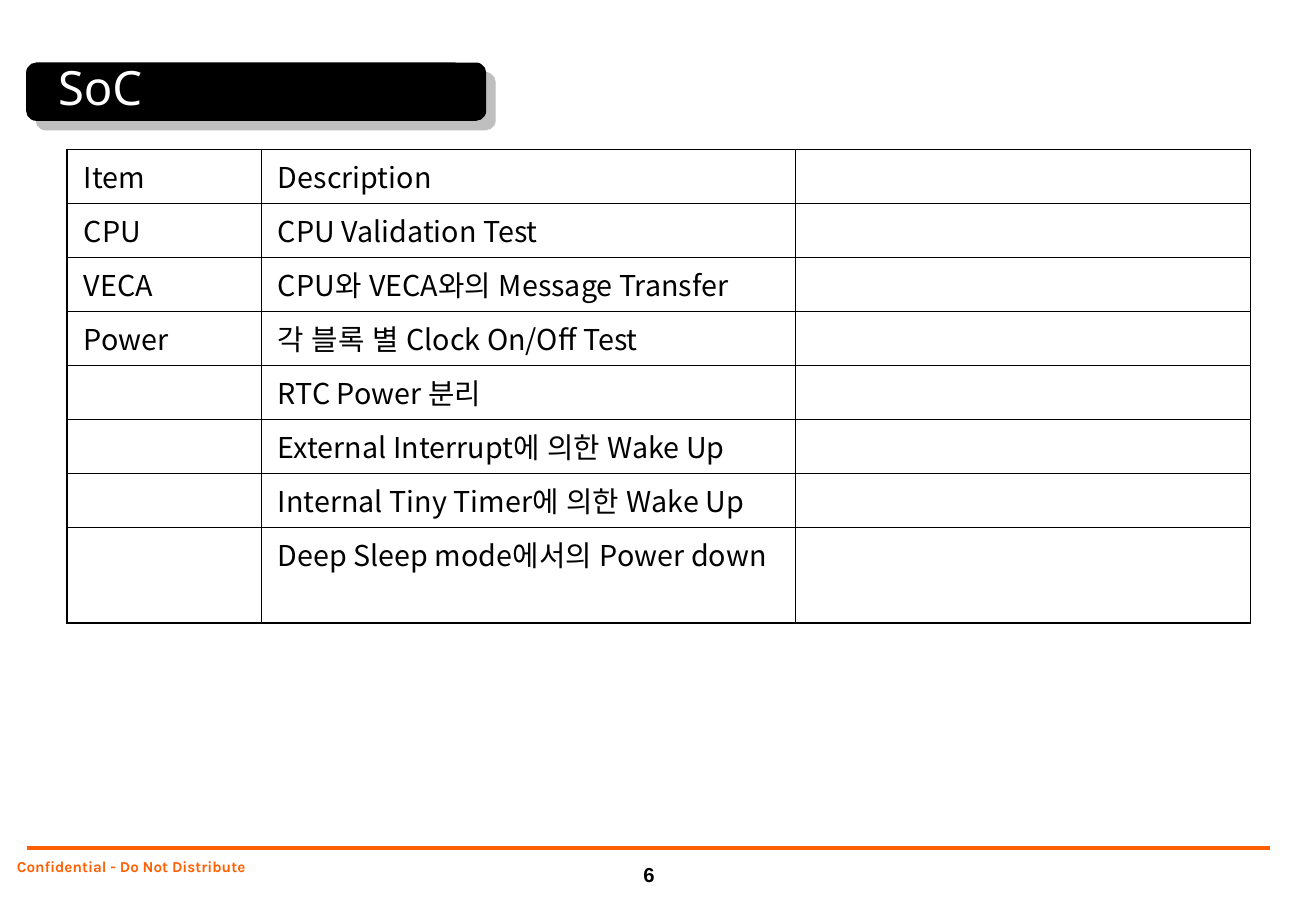
import dataclasses

import pptx
import pptx.dml.color
import pptx.enum.shapes
import pptx.enum.text
import pptx.oxml
import pptx.oxml.ns
import pptx.util
from lxml import etree

Inches = pptx.util.Inches
Pt = pptx.util.Pt
qn = pptx.oxml.ns.qn
PP = pptx.enum.text.PP_ALIGN
ANCHOR = pptx.enum.text.MSO_ANCHOR


@dataclasses.dataclass(frozen=True)
class Theme:
    ink: str = "000000"
    paper: str = "FFFFFF"
    accent: str = "FF5F00"
    shade: str = "808080"
    title_font: str = "Noto Sans"
    body_font: str = "Noto Sans CJK KR"
    footer_font: str = "Karla"
    number_font: str = "Arial"
    title_size: int = 28
    body_size: int = 17
    number_size: int = 12
    footer_size: int = 9
    outer_border: float = 1.08
    inner_border: float = 0.45


def rgb(color):
    return pptx.dml.color.RGBColor.from_string(color)


def set_text(tf, text, *, font, size, color, east_font=None, bold=False,
             align=PP.LEFT, spacing=None):
    p = tf.paragraphs[0]
    p.alignment = align
    if spacing:
        p.line_spacing = spacing
    r = p.add_run()
    r.text = text
    r.font.name = font
    r.font.size = Pt(size)
    r.font.bold = bold
    r.font.color.rgb = rgb(color)
    etree.SubElement(r.font._element, qn("a:ea"), typeface=east_font or font)


def set_margins(target, left, top, right, bottom):
    target.margin_left, target.margin_top = Inches(left), Inches(top)
    target.margin_right, target.margin_bottom = Inches(right), Inches(bottom)


def add_border(cell, tag, width, color):
    ln = etree.SubElement(cell._tc.get_or_add_tcPr(), qn(tag), w=str(Pt(width)))
    fill = etree.SubElement(ln, qn("a:solidFill"))
    etree.SubElement(fill, qn("a:srgbClr"), val=color)


class Deck:
    """Draws styled elements on the current slide."""

    def __init__(self, theme, width, height):
        self.theme = theme
        self.prs = pptx.Presentation()
        self.prs.slide_width, self.prs.slide_height = Inches(width), Inches(height)
        self.s = self.prs.slides.add_slide(self.prs.slide_layouts[6])

    def rule(self, x1, x2, y, width):
        kind = pptx.enum.shapes.MSO_CONNECTOR.STRAIGHT
        line = self.s.shapes.add_connector(kind, Inches(x1), Inches(y), Inches(x2), Inches(y))
        line.line.color.rgb = rgb(self.theme.accent)
        line.line.width = Pt(width)
        etree.SubElement(line._element.spPr, qn("a:effectLst"))

    def banner(self, *box):
        kind = pptx.enum.shapes.MSO_SHAPE.ROUNDED_RECTANGLE
        sp = self.s.shapes.add_shape(kind, *map(Inches, box))
        sp.adjustments[0] = 0.17
        sp.fill.solid()
        sp.fill.fore_color.rgb = rgb(self.theme.ink)
        sp.line.color.rgb = rgb(self.theme.ink)
        sp.line.width = Pt(0.75)
        sp.shadow.inherit = False
        effects = sp._element.spPr.find(qn("a:effectLst"))
        shadow = etree.SubElement(effects, qn("a:outerShdw"), blurRad="0", dist=str(Pt(8)),
                                  dir="2700000", algn="ctr", rotWithShape="0")
        color = etree.SubElement(shadow, qn("a:srgbClr"), val=self.theme.shade)
        etree.SubElement(color, qn("a:alpha"), val="50000")

    def text(self, text, box, margins, anchor=ANCHOR.TOP, **fmt):
        tf = self.s.shapes.add_textbox(*map(Inches, box)).text_frame
        tf.word_wrap = True
        tf.vertical_anchor = anchor
        set_margins(tf, *margins)
        set_text(tf, text, **fmt)

    def table(self, rows, box, widths, heights):
        t = self.theme
        table = self.s.shapes.add_table(len(rows), len(widths), *map(Inches, box)).table
        table.first_row = table.horz_banding = False
        for column, width in zip(table.columns, widths):
            column.width = Inches(width)
        for row, height in zip(table.rows, heights):
            row.height = Inches(height)
        last_row, last_col = len(rows) - 1, len(widths) - 1
        for i, row in enumerate(rows):
            for j, text in enumerate(row):
                cell = table.cell(i, j)
                set_margins(cell, 0.14, 0.05, 0.12, 0.05)
                edges = {"a:lnL": j == 0, "a:lnR": j == last_col,
                         "a:lnT": i == 0, "a:lnB": i == last_row}
                for tag, outer in edges.items():
                    add_border(cell, tag, t.outer_border if outer else t.inner_border, t.ink)
                cell.fill.background()
                if text:
                    set_text(cell.text_frame, text, font=t.body_font, east_font=t.title_font,
                             size=t.body_size, color=t.ink)


def main():
    t = Theme()
    deck = Deck(t, 10.84, 7.5)
    deck.rule(0.22, 10.46, 6.98, 2)
    deck.text("Confidential - Do Not Distribute", (0.09, 7.04, 3.66, 0.27), (0.05, 0, 0.05, 0),
              font=t.footer_font, size=t.footer_size, color=t.accent, bold=True, spacing=1.1)
    deck.banner(0.22, 0.52, 3.78, 0.47)
    deck.text("SoC", (0.38, 0.2, 4.41, 1.03), (0.1, 0.06, 0.1, 0.06), ANCHOR.MIDDLE,
              font=t.title_font, size=t.title_size, color=t.paper)
    tests = [
        ("Item", "Description", ""),
        ("CPU", "CPU Validation Test", ""),
        ("VECA", "CPU와 VECA와의 Message Transfer", ""),
        ("Power", "각 블록 별 Clock On/Off Test", ""),
        ("", "RTC Power 분리", ""),
        ("", "External Interrupt에 의한 Wake Up", ""),
        ("", "Internal Tiny Timer에 의한 Wake Up", ""),
        ("", "Deep Sleep mode에서의 Power down", ""),
    ]
    row_height = 4 / 9
    heights = [row_height] * (len(tests) - 1) + [0.79]
    deck.table(tests, (0.55, 1.23, 9.75, sum(heights)), (1.6, 4.4, 3.75), heights)
    deck.text("6", (5.19, 7.04, 0.31, 0.31), (0.1, 0.05, 0.1, 0.05), ANCHOR.BOTTOM,
              font=t.number_font, size=t.number_size, color=t.ink, bold=True, align=PP.CENTER)
    deck.prs.save("out.pptx")


if __name__ == "__main__":
    main()
